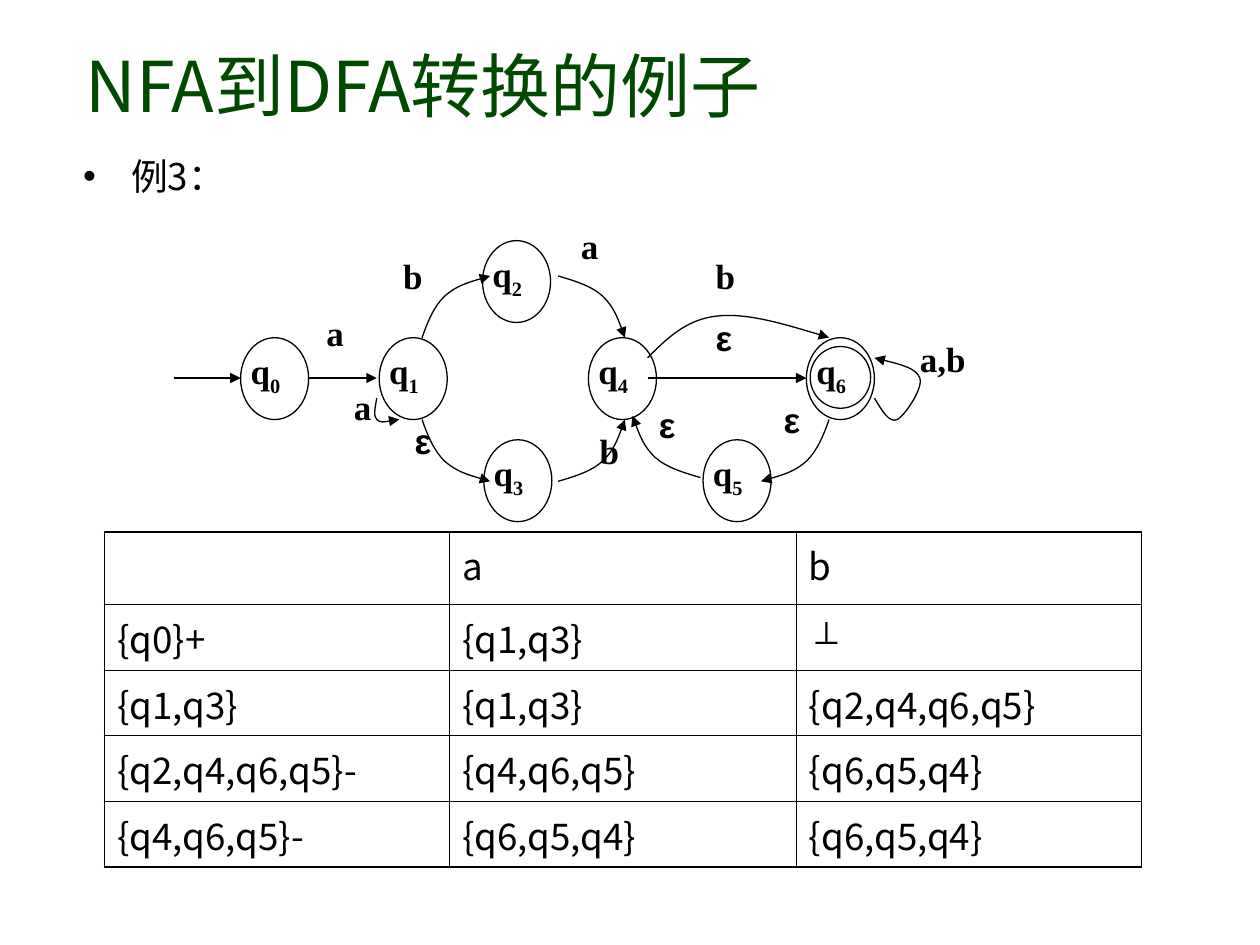
import pptx
import pptx.util
import pptx.dml.color
import pptx.enum.shapes
import pptx.enum.text
import pptx.oxml
import pptx.oxml.ns

Inches, Pt = pptx.util.Inches, pptx.util.Pt
BLACK = pptx.dml.color.RGBColor(0, 0, 0)
WHITE = pptx.dml.color.RGBColor(255, 255, 255)
GREEN = pptx.dml.color.RGBColor(0, 0x4A, 0)
TOP = pptx.enum.text.MSO_ANCHOR.TOP
MIDDLE = pptx.enum.text.MSO_ANCHOR.MIDDLE
LEFT = pptx.enum.text.PP_ALIGN.LEFT
OVAL = pptx.enum.shapes.MSO_SHAPE.OVAL
STRAIGHT = pptx.enum.shapes.MSO_CONNECTOR.STRAIGHT
CJK = "Noto Sans CJK KR"

HEAD = {"name": CJK, "size": Pt(40), "bold": False}
BODY = {"name": CJK, "size": Pt(21), "bold": False}
SIGN = {"name": "Arial", "size": Pt(21), "bold": False}
LABEL = {"name": "Times New Roman", "size": Pt(20), "bold": True}
GREEK = {"name": "Arial", "size": Pt(20), "bold": True}
TIGHT = {"margin_left": 0, "margin_top": 0, "margin_right": 0,
         "margin_bottom": 0, "word_wrap": True, "vertical_anchor": TOP}

TITLE = "NFA到DFA转换的例子"
POINT = "例3："
STATES = {"0": (1.91, 2.68), "1": (3.01, 2.68), "4": (4.67, 2.68),
          "6": (6.4, 2.68), "2": (3.83, 1.91), "3": (3.84, 3.49),
          "5": (5.58, 3.49)}
WIDE, HIGH = 0.54, 0.65
LINES = [(1.38, 1.91), (2.45, 2.99), (5.14, 6.4)]
MID = 3
STEEP = [(0, 0), (0.08, 0.25), (0.17, 0.5), (0.33, 0.67),
         (0.5, 0.84), (0.75, 0.92), (1, 1)]
FLAT = [(1 - x, 1 - y) for x, y in reversed(STEEP)]
ARCS = [
    (STEEP, (3.35, 2.68), (3.89, 2.19)),
    (STEEP, (3.35, 3.33), (3.89, 3.82)),
    (FLAT, (4.43, 2.19), (4.96, 2.68)),
    (FLAT, (4.43, 3.82), (4.96, 3.33)),
    (STEEP, (6.58, 3.33), (6.04, 3.82)),
    (FLAT, (5.56, 3.79), (5.02, 3.3)),
]
LOOPS = [
    [(2.99, 3.16), (2.98, 3.23), (2.96, 3.3), (2.99, 3.33),
     (3.02, 3.36), (3.1, 3.34), (3.17, 3.33)],
    [(5.14, 2.84), (5.29, 2.69), (5.44, 2.54), (5.68, 2.51),
     (5.92, 2.48), (6.25, 2.58), (6.58, 2.68)],
    [(6.94, 3.16), (7, 3.26), (7.06, 3.36), (7.12, 3.33), (7.18, 3.3),
     (7.33, 3.08), (7.3, 3), (7.27, 2.92), (7.1, 2.88), (6.94, 2.84)],
]
MARKS = [
    ("a", 2.59, 2.47), ("a", 2.81, 3.06), ("a", 4.61, 1.78),
    ("b", 3.2, 2.02), ("b", 4.76, 3.41), ("b", 5.68, 2.02),
    ("ε", 3.29, 3.33), ("ε", 5.23, 3.2), ("ε", 6.22, 3.16),
    ("ε", 5.68, 2.51), ("a,b", 7.3, 2.68),
]
ROWS = [
    ("", "a", "b"),
    ("{q0}+", "{q1,q3}", "⊥"),
    ("{q1,q3}", "{q1,q3}", "{q2,q4,q6,q5}"),
    ("{q2,q4,q6,q5}-", "{q4,q6,q5}", "{q6,q5,q4}"),
    ("{q4,q6,q5}-", "{q6,q5,q4}", "{q6,q5,q4}"),
]
TALL = [0.58] + [0.52] * 4
SPAN = [2.74, 2.75, 2.74]


def box(*nums):
    return [Inches(n) for n in nums]


def apply(item, style):
    for key, value in style.items():
        setattr(item, key, value)


def child(node, tag, **attrs):
    part = pptx.oxml.parse_xml(
        f'<a:{tag} {pptx.oxml.ns.nsdecls("a")}/>')
    for key, value in attrs.items():
        part.set(key, str(value))
    node.append(part)
    return part


def write(para, text, style, color=BLACK):
    para.alignment = LEFT
    run = para.add_run()
    run.text = text
    apply(run.font, style)
    run.font.color.rgb = color
    child(run.font._element, "ea", typeface=style["name"])
    return run


def trace(shape, arrow=True):
    shape.line.color.rgb = BLACK
    shape.line.width = Pt(0.75)
    if arrow:
        child(shape.line._get_or_add_ln(), "tailEnd", type="triangle")


def oval(art, *spot):
    shape = art.add_shape(OVAL, *box(*spot))
    shape.shadow.inherit = False
    trace(shape, False)
    return shape


def curve(art, dots):
    first, *rest = [box(*dot) for dot in dots]
    pen = art.build_freeform(*first, scale=1.0)
    pen.add_line_segments(rest, close=False)
    shape = pen.convert_to_shape()
    shape.shadow.inherit = False
    shape.fill.background()
    trace(shape)
    route = next(shape._element.iter(pptx.oxml.ns.qn("a:path")))
    steps = list(route)[1:]
    for at in range(0, len(steps), 3):
        bend = child(route, "cubicBezTo")
        for step in steps[at:at + 3]:
            bend.append(step[0])
            route.remove(step)


def draw(art):
    for name, (x, y) in STATES.items():
        shape = oval(art, x, y, WIDE, HIGH)
        shape.fill.solid()
        shape.fill.fore_color.rgb = WHITE
        apply(shape.text_frame, TIGHT)
        para = shape.text_frame.paragraphs[0]
        write(para, "q", LABEL)
        sub = write(para, name, LABEL)
        sub.font._element.set("baseline", "-25000")
    oval(art, 6.43, 2.75, 0.48, 0.49).fill.background()
    for start, end in LINES:
        line = art.add_connector(STRAIGHT, *box(start, MID, end, MID))
        trace(line)
        child(line._element.spPr, "effectLst")
    for form, (x, y), (right, low) in ARCS:
        curve(art, [(x + (right - x) * u, y + (low - y) * v)
                    for u, v in form])
    for dots in LOOPS:
        curve(art, dots)
    for text, x, y in MARKS:
        wide = 0.36 if len(text) == 1 else 0.54
        frame = art.add_textbox(*box(x, y, wide, 0.49)).text_frame
        apply(frame, TIGHT)
        write(frame.paragraphs[0], text, GREEK if text == "ε" else LABEL)


def border(cell, row, col):
    node = cell._tc.get_or_add_tcPr()
    outer = {"lnL": col == 0, "lnR": col == len(SPAN) - 1,
             "lnT": row == 0, "lnB": row == len(ROWS) - 1}
    for side, thick in outer.items():
        line = child(node, side, w=Pt(1.08 if thick else 0.45))
        child(child(line, "solidFill"), "srgbClr", val=BLACK)
    cell.fill.background()


def grid(shapes):
    table = shapes.add_table(
        len(ROWS), len(SPAN), *box(0.83, 4.22, sum(SPAN), sum(TALL))).table
    apply(table, {"first_row": False, "horz_banding": False})
    for col, wide in zip(table.columns, SPAN):
        col.width = Inches(wide)
    for row, (words, high) in enumerate(zip(ROWS, TALL)):
        table.rows[row].height = Inches(high)
        for col, text in enumerate(words):
            cell = table.cell(row, col)
            border(cell, row, col)
            if text:
                write(cell.text_frame.paragraphs[0], text,
                      SIGN if text == "⊥" else BODY)


def main():
    deck = pptx.Presentation()
    deck.slide_width, deck.slide_height = box(10, 7.5)
    slide = deck.slides.add_slide(deck.slide_layouts[1])
    title, body = slide.placeholders
    for holder, spot, anchor in [(title, (0.58, 0.17, 8.49, 1), MIDDLE),
                                 (body, (0.56, 1.17, 4.17, 5.17), TOP)]:
        apply(holder, dict(zip(("left", "top", "width", "height"),
                               box(*spot))))
        apply(holder.text_frame, {
            "vertical_anchor": anchor, "word_wrap": True,
            "auto_size": pptx.enum.text.MSO_AUTO_SIZE.NONE})
    write(title.text_frame.paragraphs[0], TITLE, HEAD, GREEN)
    para = body.text_frame.paragraphs[0]
    para.space_before = Pt(0)
    prop = para._p.get_or_add_pPr()
    prop.set("marL", str(Inches(0.38)))
    prop.set("indent", str(Inches(-0.38)))
    child(prop, "buChar", char="•")
    write(para, POINT, BODY)
    draw(slide.shapes.add_group_shape().shapes)
    grid(slide.shapes)
    deck.save("out.pptx")


if __name__ == "__main__":
    main()
